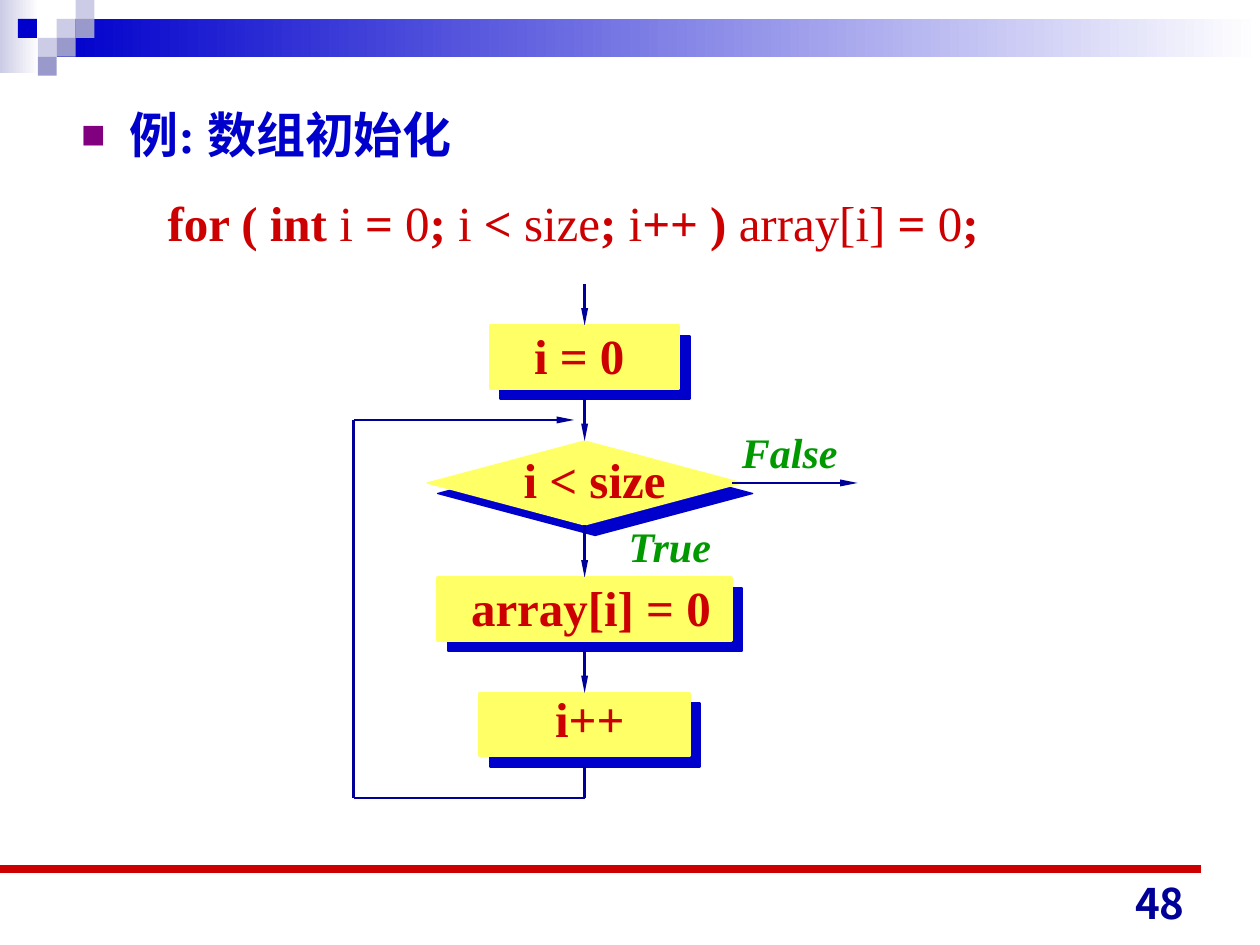
"""Build the slide that explains array initialisation with a for loop and its flowchart."""
from typing import NamedTuple, Optional

from lxml import etree
from pptx import Presentation, util as u
from pptx.dml.color import RGBColor
from pptx.enum import shapes, text
from pptx.oxml import parse_xml
from pptx.oxml.ns import qn

BLUE = RGBColor(0x00, 0x00, 0xCC)
NAVY = RGBColor(0x00, 0x00, 0x99)
LAVENDER = RGBColor(0xCC, 0xCC, 0xE6)
LILAC = RGBColor(0x99, 0x99, 0xCC)
WHITE = RGBColor(0xFF, 0xFF, 0xFF)
RED = RGBColor(0xCC, 0x00, 0x00)
YELLOW = RGBColor(0xFF, 0xFF, 0x66)
GREEN = RGBColor(0x00, 0x99, 0x00)
PURPLE = RGBColor(0x80, 0x00, 0x80)

LATIN, CJK, NUMBER_FONT = "Times New Roman", "Noto Sans CJK SC", "Noto Sans CJK JP"
A = 'xmlns:a="http://schemas.openxmlformats.org/drawingml/2006/main"'
TILE = 0.15
CELL = 1 / 12
AXIS, TOP = 4.64, 2.25


class Tile(NamedTuple):
    """A header square by column and row."""
    col: float
    row: float
    color: RGBColor


class Step(NamedTuple):
    """A flowchart block centred on the axis, in grid cells."""
    kind: shapes.MSO_SHAPE
    row: float
    width: float
    height: float
    line: float


class Label(NamedTuple):
    """A flowchart caption, in grid cells."""
    words: str
    col: float
    row: float
    width: float
    branch: bool = False


class Flow(NamedTuple):
    """A flowchart line between two grid points."""
    start: tuple[float, float]
    end: tuple[float, float]
    arrow: bool = True


TILES = [Tile(3, 1, LAVENDER), Tile(4, 0, LAVENDER), Tile(4, 1, LILAC), Tile(2, 2, LAVENDER),
         Tile(0.95, 1, BLUE), Tile(3, 2, LILAC), Tile(2, 3, LILAC)]
STEPS = [Step(shapes.MSO_SHAPE.RECTANGLE, 4, 18, 6, 1.5),
         Step(shapes.MSO_SHAPE.DIAMOND, 15, 30, 8, 0.75),
         Step(shapes.MSO_SHAPE.RECTANGLE, 28, 28, 6, 1.5),
         Step(shapes.MSO_SHAPE.RECTANGLE, 39, 20, 6, 1.5)]
FLOWS = [Flow((0, 0), (0, 4)), Flow((0, 11), (0, 15)), Flow((0, 23), (0, 28)),
         Flow((0, 35), (0, 39)), Flow((14, 19), (26, 19)), Flow((0, 46), (0, 49), False),
         Flow((0, 49), (-22, 49), False), Flow((-22, 13), (-22, 49), False),
         Flow((-22, 13), (-1, 13))]
LABELS = [Label("i = 0", -6, 3.4, 11), Label("i < size", -7, 15.2, 16),
          Label("array[i] = 0", -12, 27.4, 25.3), Label("i++", -4, 38, 9),
          Label("True", 3, 22, 10.4, True), Label("False", 13.8, 13, 11.5, True)]
CODE = ["for ( int ", "i", " = ", "0", "; ", "i", " < ", "size", "; ", "i", "++ ) ",
        "array[i]", " = ", "0", ";"]


def grid_point(col: float, row: float) -> tuple[int, int]:
    """Turn flowchart cells into slide lengths."""
    return u.Inches(AXIS + col * CELL), u.Inches(TOP + row * CELL)


def style(font, size: float, color: RGBColor, face: str = LATIN, bold: bool = True) -> None:
    """Set the main font properties."""
    font.size, font.name, font.bold = u.Pt(size), face, bold
    font.color.rgb = color


def add_block(slide, kind, box, color: RGBColor, fade: Optional[RGBColor] = None):
    """Add a borderless shape with a solid or left-to-right gradient fill."""
    block = slide.shapes.add_shape(kind, *box)
    block.shadow.inherit = False
    block.line.fill.background()
    if fade is None:
        block.fill.solid()
        block.fill.fore_color.rgb = color
    else:
        block.fill.gradient()
        block.fill.gradient_angle = 0
        for stop, shade in zip(block.fill.gradient_stops, (color, fade)):
            stop.color.rgb = shade
    return block


def add_line(slide, start, end, color: RGBColor, width: float, arrow: bool = False) -> None:
    """Add a straight line without shadow."""
    line = slide.shapes.add_connector(shapes.MSO_CONNECTOR.STRAIGHT, *start, *end)
    line.line.color.rgb, line.line.width = color, u.Pt(width)
    if arrow:
        etree.SubElement(line.line._get_or_add_ln(), qn("a:tailEnd"),
                         type="triangle", w="sm", len="lg")
    etree.SubElement(line._element.spPr, qn("a:effectLst"))


def add_header(slide) -> None:
    """Draw the gradient bars and the mosaic tiles."""
    rectangle = shapes.MSO_SHAPE.RECTANGLE
    add_block(slide, rectangle, (0, 0, u.Inches(0.31), u.Inches(0.58)), LAVENDER, WHITE)
    bar = [u.Inches(n) for n in (3 * TILE, TILE, 10 - 3 * TILE, 2 * TILE)]
    add_block(slide, rectangle, bar, BLUE, WHITE)
    for tile in TILES:
        box = [u.Inches(n * TILE) for n in (tile.col, tile.row, 1, 1)]
        add_block(slide, rectangle, box, tile.color)


def add_step(slide, step: Step) -> None:
    """Draw a yellow block with a hard blue shadow."""
    box = (*grid_point(-step.width / 2, step.row),
           u.Inches(step.width * CELL), u.Inches(step.height * CELL))
    block = add_block(slide, step.kind, box, YELLOW)
    block.line.color.rgb, block.line.width = YELLOW, u.Pt(step.line)
    effects = block._element.spPr.find(qn("a:effectLst"))
    effects.append(parse_xml(
        f'<a:outerShdw {A} dist="{u.Pt(8.5)}" dir="2700000" algn="ctr" rotWithShape="0">'
        f'<a:srgbClr val="{BLUE}"/></a:outerShdw>'))


def add_label(slide, label: Label) -> None:
    """Write a block caption or a branch name."""
    height = 0.5 if label.branch else 0.57
    caption = slide.shapes.add_textbox(*grid_point(label.col, label.row),
                                       u.Inches(label.width * CELL), u.Inches(height))
    caption.text_frame.text = label.words
    caption.text_frame.word_wrap = False
    font = caption.text_frame.paragraphs[0].runs[0].font
    style(font, 24 if label.branch else 28, GREEN if label.branch else RED)
    font.italic = label.branch


def set_indent(paragraph, margin: float, hanging: float, bullets: list[str]) -> None:
    """Set the indent, the bullet and the line spacing."""
    props = paragraph._p.get_or_add_pPr()
    props.set("marL", str(u.Inches(margin)))
    props.set("indent", str(u.Inches(-hanging)))
    for bullet in bullets:
        props.append(parse_xml(bullet))
    paragraph.line_spacing = 1.05


def fill_body(body) -> None:
    """Write the heading and the line of code."""
    body.left, body.top, body.width, body.height = (u.Inches(n) for n in (0.55, 0.76, 8.5, 1.33))
    frame = body.text_frame
    frame.auto_size = text.MSO_AUTO_SIZE.NONE
    frame.text = "例: 数组初始化"
    heading = frame.paragraphs[0]
    set_indent(heading, 0.38, 0.38, [
        f'<a:buClr {A}><a:srgbClr val="{PURPLE}"/></a:buClr>',
        f'<a:buSzPct {A} val="50000"/>',
        f'<a:buFont {A} typeface="{CJK}"/>',
        f'<a:buChar {A} char="■"/>'])
    heading.space_before = u.Pt(0)
    style(heading.runs[0].font, 28, BLUE)
    etree.SubElement(heading.runs[0]._r.get_or_add_rPr(), qn("a:ea"), typeface=CJK)
    loop = frame.add_paragraph()
    set_indent(loop, 0.68, 0, [f"<a:buNone {A}/>"])
    loop.space_before = u.Pt(15)
    for index, piece in enumerate(CODE):
        run = loop.add_run()
        run.text = piece
        style(run.font, 28, RED, bold=index % 2 == 0)


def add_footer(slide) -> None:
    """Draw the bottom rule and the page number."""
    rule = u.Inches(6.9)
    add_line(slide, (0, rule), (u.Inches(9.53), rule), RED, 4.5)
    number = slide.shapes.add_textbox(*(u.Inches(n) for n in (7.17, 6.91, 2.33, 0.5)))
    frame = number.text_frame
    frame.text, frame.word_wrap = "48", True
    frame.vertical_anchor = text.MSO_ANCHOR.BOTTOM
    frame.paragraphs[0].alignment = text.PP_ALIGN.RIGHT
    style(frame.paragraphs[0].runs[0].font, 24, NAVY, NUMBER_FONT)


def main() -> None:
    """Assemble and save the slide."""
    deck = Presentation()
    deck.slide_width, deck.slide_height = u.Inches(10), u.Inches(7.5)
    slide = deck.slides.add_slide(deck.slide_layouts[1])
    title = slide.shapes.title._element
    title.getparent().remove(title)
    fill_body(slide.placeholders[1])
    add_header(slide)
    add_footer(slide)
    for step in STEPS:
        add_step(slide, step)
    for flow in FLOWS:
        add_line(slide, grid_point(*flow.start), grid_point(*flow.end), NAVY, 1.5, flow.arrow)
    for label in LABELS:
        add_label(slide, label)
    deck.save("out.pptx")


if __name__ == "__main__":
    main()
